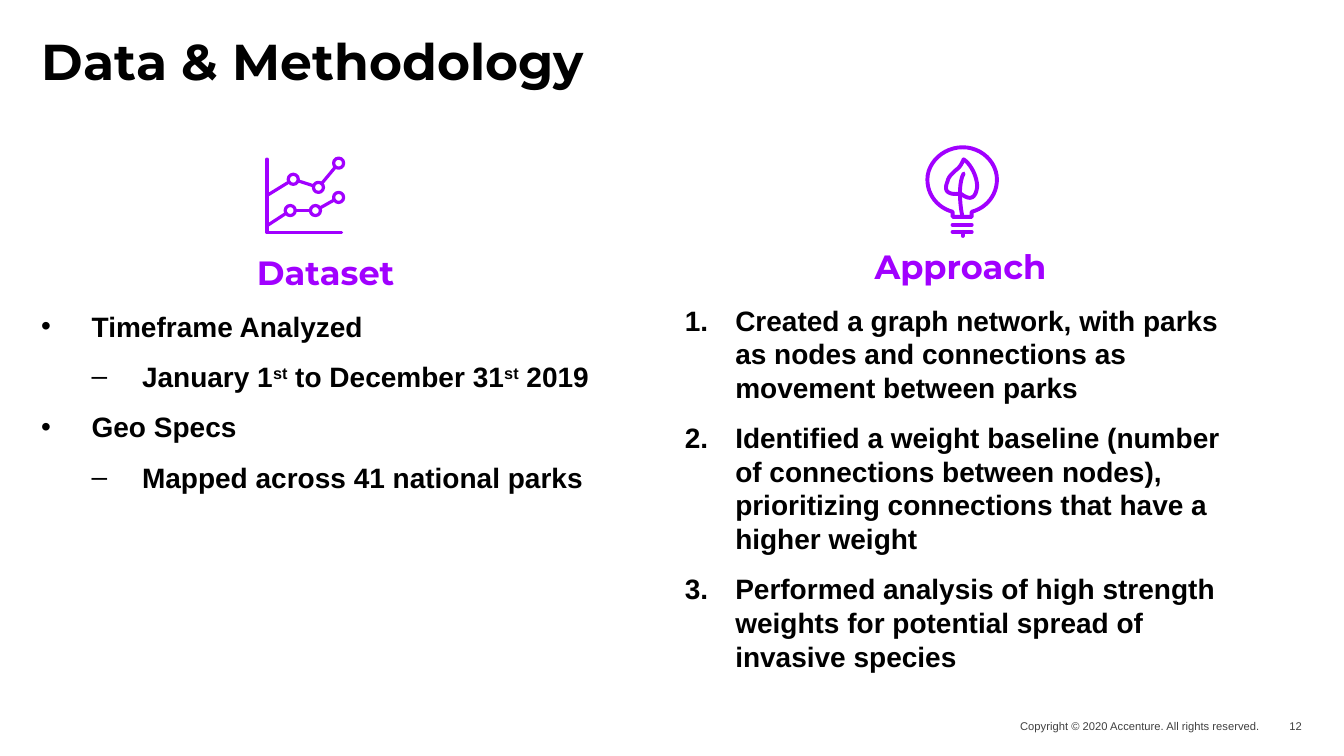
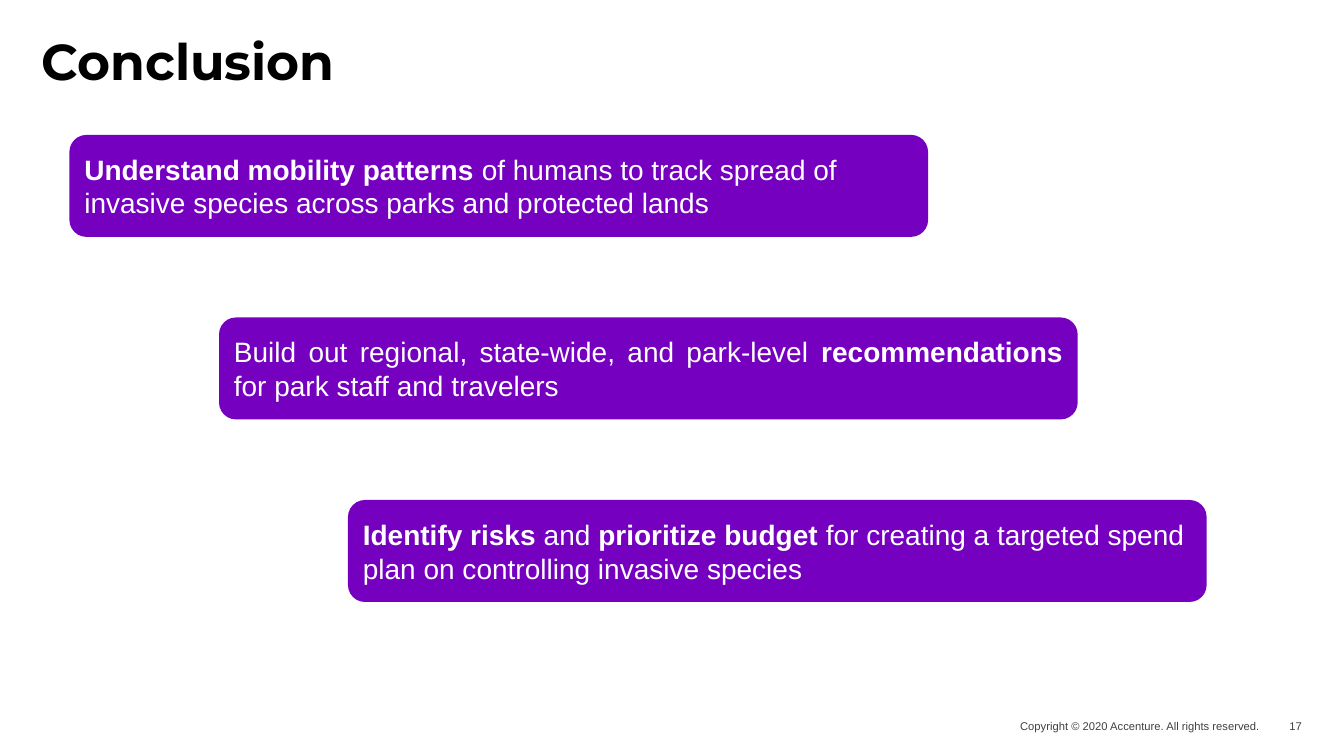
"""Build the methodology and conclusion slides."""
from dataclasses import dataclass
from itertools import pairwise
from math import dist

from lxml.etree import SubElement
from pptx import Presentation
from pptx.dml.color import RGBColor as Rgb
from pptx.enum.shapes import MSO_CONNECTOR as Link, MSO_SHAPE as Form
from pptx.enum.text import MSO_ANCHOR as Anchor, PP_ALIGN as Align
from pptx.oxml.ns import qn
from pptx.util import Cm, Pt


@dataclass(frozen=True)
class Style:
    size: int
    ink: str = "000000"
    face: str = "Arial"
    bold: bool = False
    lead: float = 1.0
    after: int = 0


@dataclass(frozen=True)
class Theme:
    white: str = "FFFFFF"
    accent: str = "A100FF"
    deep: str = "7500C0"
    fine: float = 2.3
    thick: float = 2.8
    title: Style = Style(36, face="Montserrat", bold=True, lead=0.8)
    head: Style = Style(24, "A100FF", "Montserrat", True, after=12)
    body: Style = Style(20, bold=True, after=12)
    bar: Style = Style(20, "FFFFFF")
    foot: Style = Style(8, "404040")


THEME = Theme()
WIDE, HIGH = 33.87, 19.05
NOTICE = "Copyright © 2020 Accenture. All rights reserved."

COLUMNS = [
    ((1.04, 6.35, 14.33, 11), "Dataset", [
        ("dot", [("Timeframe Analyzed", "")]),
        ("dash", [("January 1", ""), ("st", "sup"), (" to December 31", ""),
                  ("st", "sup"), (" 2019", "")]),
        ("dot", [("Geo Specs", "")]),
        ("dash", [("Mapped across 41 national parks", "")]),
    ]),
    ((17.26, 6.2, 13.89, 11), "Approach", [
        ("num", [("Created a graph network, with parks as nodes and "
                  "connections as movement between parks", "")]),
        ("num", [("Identified a weight baseline (number of connections "
                  "between nodes), prioritizing connections that have a "
                  "higher weight", "")]),
        ("num", [("Performed analysis of high strength weights for "
                  "potential spread of invasive species", "")]),
    ]),
]

BARS = [
    (1.75, Align.LEFT, [
        ("Understand mobility patterns ", "bold"),
        ("of humans to track spread of invasive species across parks "
         "and protected lands", "")]),
    (5.52, Align.JUSTIFY, [
        ("Build out regional, state-wide, and park-level ", ""),
        ("recommendations", "bold"),
        (" for park staff and travelers", "")]),
    (8.77, Align.LEFT, [
        ("Identify risks ", "bold"), ("and ", ""),
        ("prioritize budget ", "bold"),
        ("for creating a targeted spend plan on controlling invasive "
         "species", "")]),
]
BAR_TOP, BAR_STEP, BAR_WIDE, BAR_HIGH = 3.4, 4.6, 21.64, 2.57

MARKS = {
    "dot": (0, 1.27, "buChar", {"char": "•"}),
    "dash": (1, 2.54, "buChar", {"char": "–"}),
    "num": (0, 1.27, "buAutoNum", {"type": "arabicPeriod"}),
}
HANG = 1.27

UNIT = 0.0254
NODE = 5
CHART_AT, BULB_AT = (6.68, 3.96), (23.32, 3.66)
AXES = [(2, 2), (2, 75), (76, 75)]
TRENDS = [
    [(2, 38), (28, 22), (53, 30), (73, 6)],
    [(2, 68), (25, 53), (50, 53), (73, 40)],
]
GLASS = [(27, 71), (27, 66), (12, 62, 2, 49, 2, 34), (2, 17, 18, 2, 37, 2),
         (56, 2, 71, 17, 71, 34), (71, 49, 61, 62, 46, 66), (46, 71)]
LEAF = [(38, 14), (47, 20, 53, 36, 51, 44), (49, 53, 44, 55, 35, 48),
        (28, 49, 24, 48, 22, 46), (20, 44, 20, 41, 22, 36),
        (23, 31, 26, 29, 30, 25), (34, 22, 36, 19, 38, 14)]
STEM = [(38, 28), (31, 41, 36, 69, 37, 71)]
RODS = [((27, 79), (46, 79)), ((27, 86), (46, 86)), ((37, 86), (37, 90))]


def apply(thing, values):
    for name, value in values.items():
        setattr(thing, name, value)


def paint(fill, tone):
    fill.solid()
    fill.fore_color.rgb = Rgb.from_string(tone)


def write(para, runs, style, align=Align.LEFT, mark=None):
    if mark:
        level, left, tag, attrs = MARKS[mark]
        para.level = level
        props = para._p.get_or_add_pPr()
        props.set("marL", str(Cm(left)))
        props.set("indent", str(-Cm(HANG)))
        SubElement(props, qn("a:buFont"), typeface="Arial")
        SubElement(props, qn("a:" + tag), **attrs)
    apply(para, {"alignment": align, "line_spacing": style.lead,
                 "space_after": Pt(style.after)})
    for text, kind in runs:
        run = para.add_run()
        run.text = text
        apply(run.font, {"name": style.face, "size": Pt(style.size),
                         "bold": style.bold or kind == "bold"})
        run.font.color.rgb = Rgb.from_string(style.ink)
        if kind == "sup":
            run._r.get_or_add_rPr().set("baseline", "30000")


def setup(frame, anchor=Anchor.TOP, inset=0):
    sides = ("left", "right", "top", "bottom")
    apply(frame, {"word_wrap": True, "vertical_anchor": anchor})
    apply(frame, {"margin_" + side: Cm(inset) for side in sides})
    return frame


def box(slide, area, anchor=Anchor.TOP):
    shape = slide.shapes.add_textbox(*map(Cm, area))
    return setup(shape.text_frame, anchor)


def label(slide, area, text, style, align=Align.LEFT, anchor=Anchor.TOP):
    frame = box(slide, area, anchor)
    write(frame.paragraphs[0], [(text, "")], style, align)


def page(deck, title, number):
    slide = deck.slides.add_slide(deck.slide_layouts[6])
    label(slide, (1.05, 1.05, 31.75, 2.74), title, THEME.title)
    for area, text in (((23.11, 18.01, 8.64, 0.56), NOTICE),
                       ((31.75, 18.01, 1.06, 0.58), str(number))):
        label(slide, area, text, THEME.foot, Align.RIGHT, Anchor.MIDDLE)
    return slide


def place(at, x, y):
    return Cm(at[0] + x * UNIT), Cm(at[1] + y * UNIT)


def stroke(shape, width):
    shape.line.color.rgb = Rgb.from_string(THEME.accent)
    shape.line.width = Pt(width)
    props = shape._element.spPr
    props.find(qn("a:ln")).set("cap", "rnd")
    if props.find(qn("a:effectLst")) is None:
        SubElement(props, qn("a:effectLst"))


def bend(start, curve, steps=12):
    knots = [start, curve[:2], curve[2:4], curve[4:]]
    for step in range(1, steps + 1):
        t = step / steps
        parts = ((1 - t) ** 3, 3 * t * (1 - t) ** 2, 3 * t * t * (1 - t), t ** 3)
        yield tuple(sum(p * k[i] for p, k in zip(parts, knots)) for i in (0, 1))


def trace(slide, at, route, width, close=False):
    points = [route[0]]
    for leg in route[1:]:
        points += [leg] if len(leg) == 2 else bend(points[-1], leg)
    spots = [place(at, *point) for point in points]
    pen = slide.shapes.build_freeform(*spots[0])
    pen.add_line_segments(spots[1:], close=close)
    shape = pen.convert_to_shape()
    shape.fill.background()
    stroke(shape, width)


def rod(slide, at, start, end, width):
    ends = place(at, *start) + place(at, *end)
    stroke(slide.shapes.add_connector(Link.STRAIGHT, *ends), width)


def toward(start, end, gap):
    share = gap / dist(start, end)
    return tuple(a + (b - a) * share for a, b in zip(start, end))


def chart(slide):
    trace(slide, CHART_AT, AXES, THEME.fine)
    side = Cm(2 * NODE * UNIT)
    for trend in TRENDS:
        for x, y in trend[1:]:
            spot = place(CHART_AT, x - NODE, y - NODE)
            ring = slide.shapes.add_shape(Form.OVAL, *spot, side, side)
            paint(ring.fill, THEME.white)
            stroke(ring, THEME.fine)
        for start, end in pairwise(trend):
            gap = 0 if start == trend[0] else NODE
            rod(slide, CHART_AT, toward(start, end, gap),
                toward(end, start, NODE), THEME.fine)


def bulb(slide):
    for route, close in ((LEAF, True), (STEM, False), (GLASS, True)):
        trace(slide, BULB_AT, route, THEME.thick, close)
    for start, end in RODS:
        rod(slide, BULB_AT, start, end, THEME.thick)


def method(deck):
    slide = page(deck, "Data & Methodology", 12)
    for area, head, items in COLUMNS:
        frame = box(slide, area)
        write(frame.paragraphs[0], [(head, "")], THEME.head, Align.CENTER)
        for mark, runs in items:
            write(frame.add_paragraph(), runs, THEME.body, mark=mark)
    chart(slide)
    bulb(slide)


def finish(deck):
    slide = page(deck, "Conclusion", 17)
    for row, (left, align, runs) in enumerate(BARS):
        area = (left, BAR_TOP + row * BAR_STEP, BAR_WIDE, BAR_HIGH)
        bar = slide.shapes.add_shape(Form.ROUNDED_RECTANGLE, *map(Cm, area))
        bar.shadow.inherit = False
        paint(bar.fill, THEME.deep)
        bar.line.fill.background()
        frame = setup(bar.text_frame, Anchor.MIDDLE, 0.25)
        write(frame.paragraphs[0], runs, THEME.bar, align)


def main():
    deck = Presentation()
    apply(deck, {"slide_width": Cm(WIDE), "slide_height": Cm(HIGH)})
    method(deck)
    finish(deck)
    deck.save("out.pptx")


if __name__ == "__main__":
    main()
